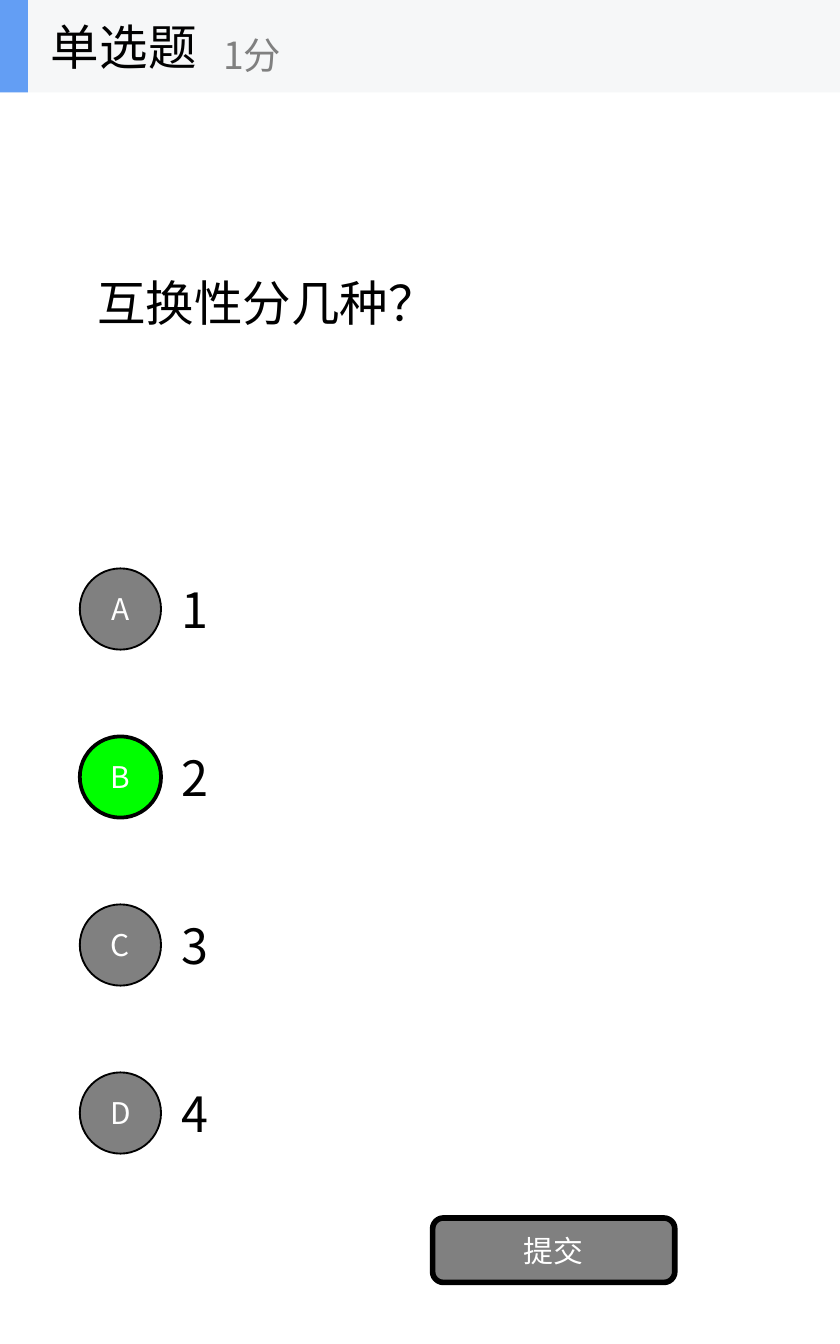
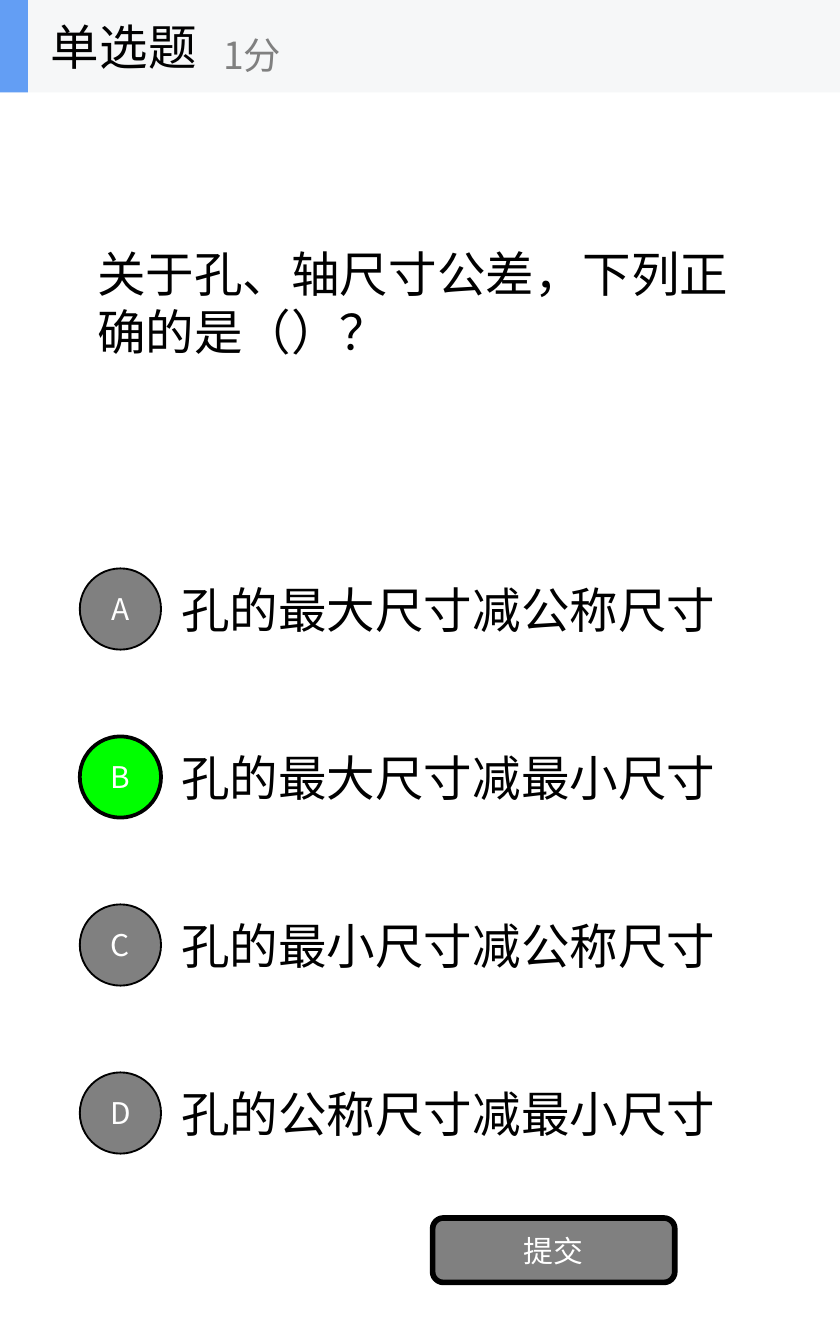
from dataclasses import dataclass
from lxml.etree import SubElement
from pptx import Presentation
from pptx.dml.color import RGBColor
from pptx.enum.lang import MSO_LANGUAGE_ID
from pptx.enum.shapes import MSO_SHAPE
from pptx.enum.text import MSO_ANCHOR, PP_ALIGN
from pptx.oxml.ns import qn
from pptx.util import Emu, Pt


@dataclass(frozen=True)
class Theme:
    font: str = "Noto Sans CJK SC"
    ink: str = "000000"
    muted: str = "808080"
    correct: str = "00FF00"
    label: str = "FFFFFF"
    band: str = "F6F7F8"
    accent: str = "639EF4"
    body_size: int = 26
    score_size: int = 20
    label_size: int = 16


theme = Theme()
PX = 9525


def write(frame, text, size, color, align=PP_ALIGN.LEFT, wrap=True):
    for name, value in {"word_wrap": wrap, "vertical_anchor": MSO_ANCHOR.MIDDLE}.items():
        setattr(frame, name, value)
    paragraph = frame.paragraphs[0]
    paragraph.alignment = align
    run = paragraph.add_run()
    run.text = text
    font_format = {
        "name": theme.font,
        "size": Pt(size),
        "language_id": MSO_LANGUAGE_ID.SIMPLIFIED_CHINESE,
    }
    for name, value in font_format.items():
        setattr(run.font, name, value)
    run.font.color.rgb = RGBColor.from_string(color)
    SubElement(run.font._element, qn("a:ea"), typeface=theme.font)


def add_block(shapes, preset, box, fill, line_width=0, label=""):
    block = shapes.add_shape(preset, *[Emu(n * PX) for n in box])
    block.shadow.inherit = False
    block.fill.solid()
    block.fill.fore_color.rgb = RGBColor.from_string(fill)
    if line_width:
        block.line.color.rgb = RGBColor.from_string(theme.ink)
        block.line.width = Pt(line_width)
    else:
        block.line.fill.background()
    if label:
        write(block.text_frame, label, theme.label_size, theme.label, PP_ALIGN.CENTER)


questions = [
    ("互换性分几种？", ["1", "2", "3", "4"], "B"),
    (
        "关于孔、轴尺寸公差，下列正确的是（）？",
        [
            "孔的最大尺寸减公称尺寸",
            "孔的最大尺寸减最小尺寸",
            "孔的最小尺寸减公称尺寸",
            "孔的公称尺寸减最小尺寸",
        ],
        "B",
    ),
]
option_top, option_step = 390, 120

deck = Presentation()
for name, value in {"slide_width": 600, "slide_height": 960}.items():
    setattr(deck, name, Emu(value * PX))

for question, options, answer in questions:
    shapes = deck.slides.add_slide(deck.slide_layouts[6]).shapes

    body_texts = [(question, (60, 66, 480, 300))]
    for row, option in enumerate(options):
        body_texts.append((option, (120, option_top + row * option_step, 420, 90)))
    for text, box in body_texts:
        body = shapes.add_textbox(*[Emu(n * PX) for n in box])
        write(body.text_frame, text, theme.body_size, theme.ink)

    for row, letter in enumerate("ABCD"):
        fill, line_width = (theme.correct, 2) if letter == answer else (theme.muted, 1)
        badge_box = (57, option_top + 16 + row * option_step, 58, 58)
        add_block(shapes, MSO_SHAPE.OVAL, badge_box, fill, line_width, letter)

    add_block(shapes, MSO_SHAPE.ROUNDED_RECTANGLE, (309, 870, 173, 46), theme.muted, 3, "提交")

    header = shapes.add_group_shape().shapes
    add_block(header, MSO_SHAPE.RECTANGLE, (0, 0, 600, 66), theme.band)
    add_block(header, MSO_SHAPE.RECTANGLE, (0, 0, 20, 66), theme.accent)
    for text, box, size, color in [
        ("单选题", (27, 0, 200, 66), theme.body_size, theme.ink),
        ("1分", (150, 12, 240, 54), theme.score_size, theme.muted),
    ]:
        heading = header.add_textbox(*[Emu(n * PX) for n in box])
        write(heading.text_frame, text, size, color, wrap=False)

deck.save("out.pptx")
